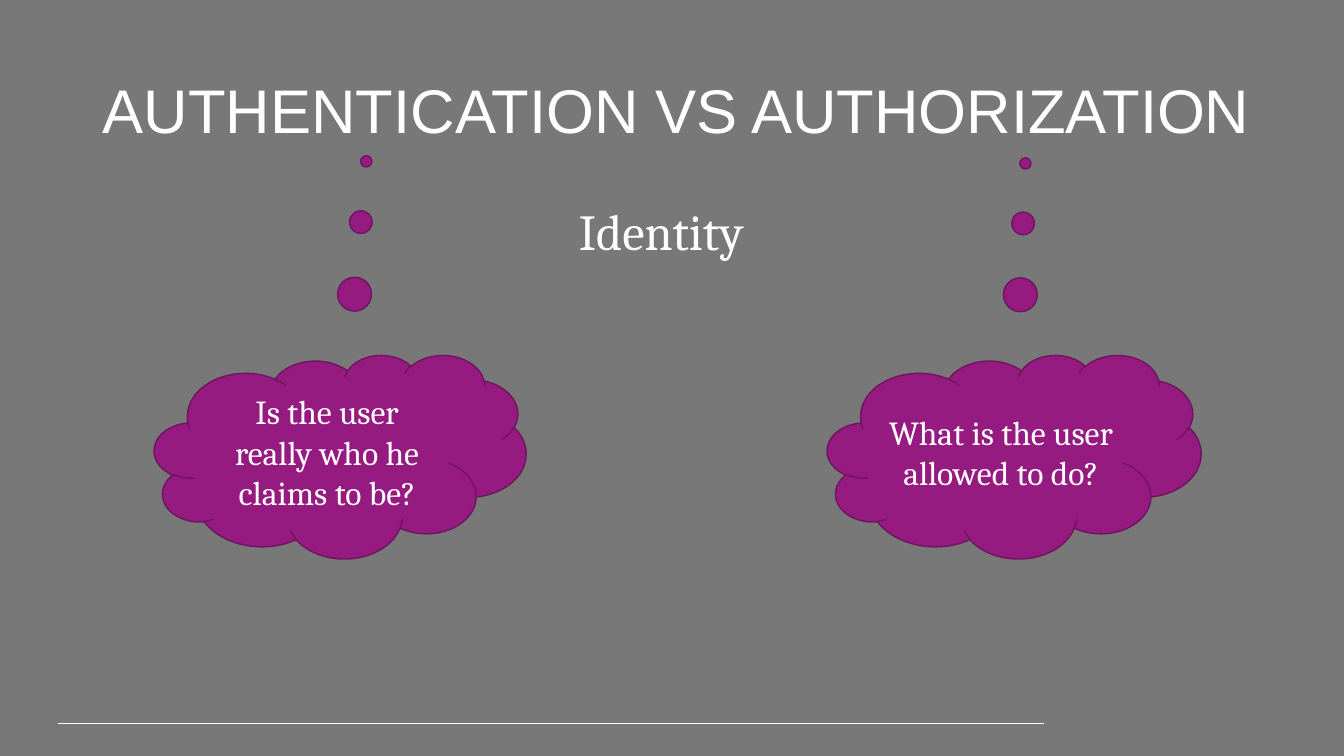
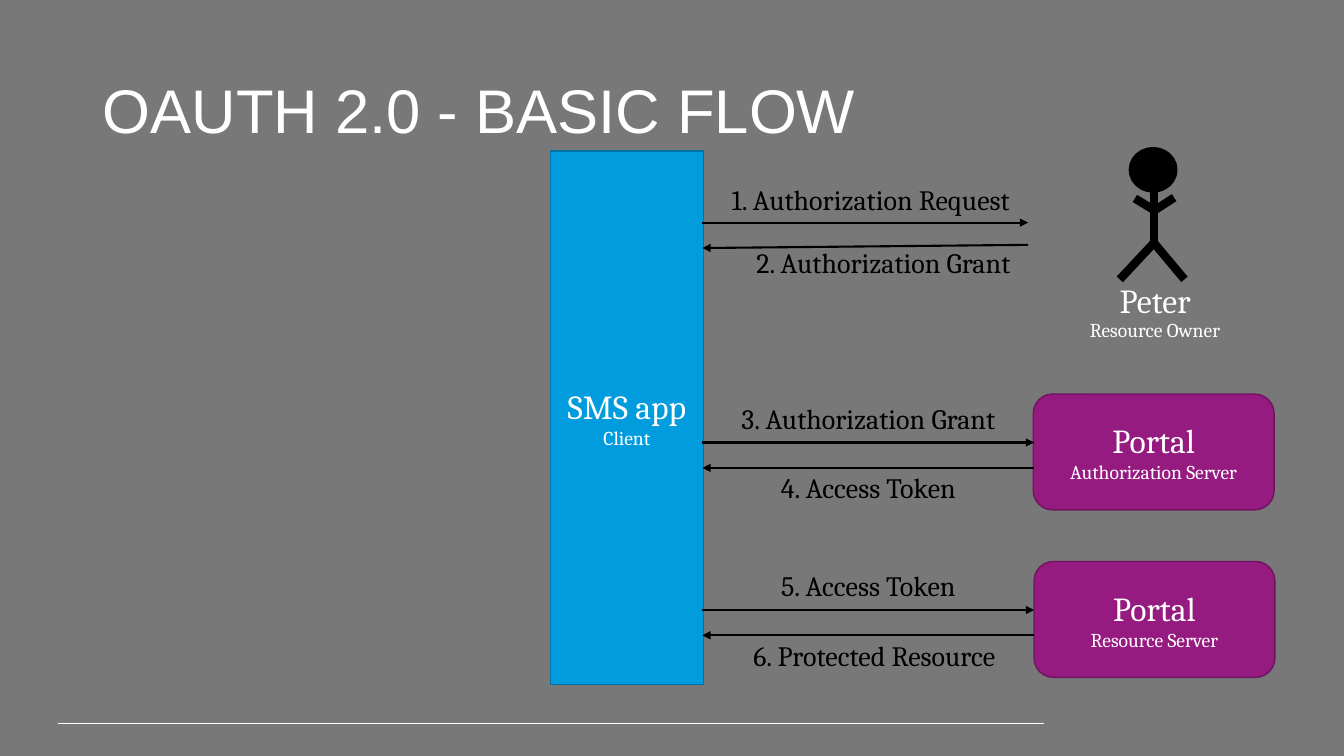
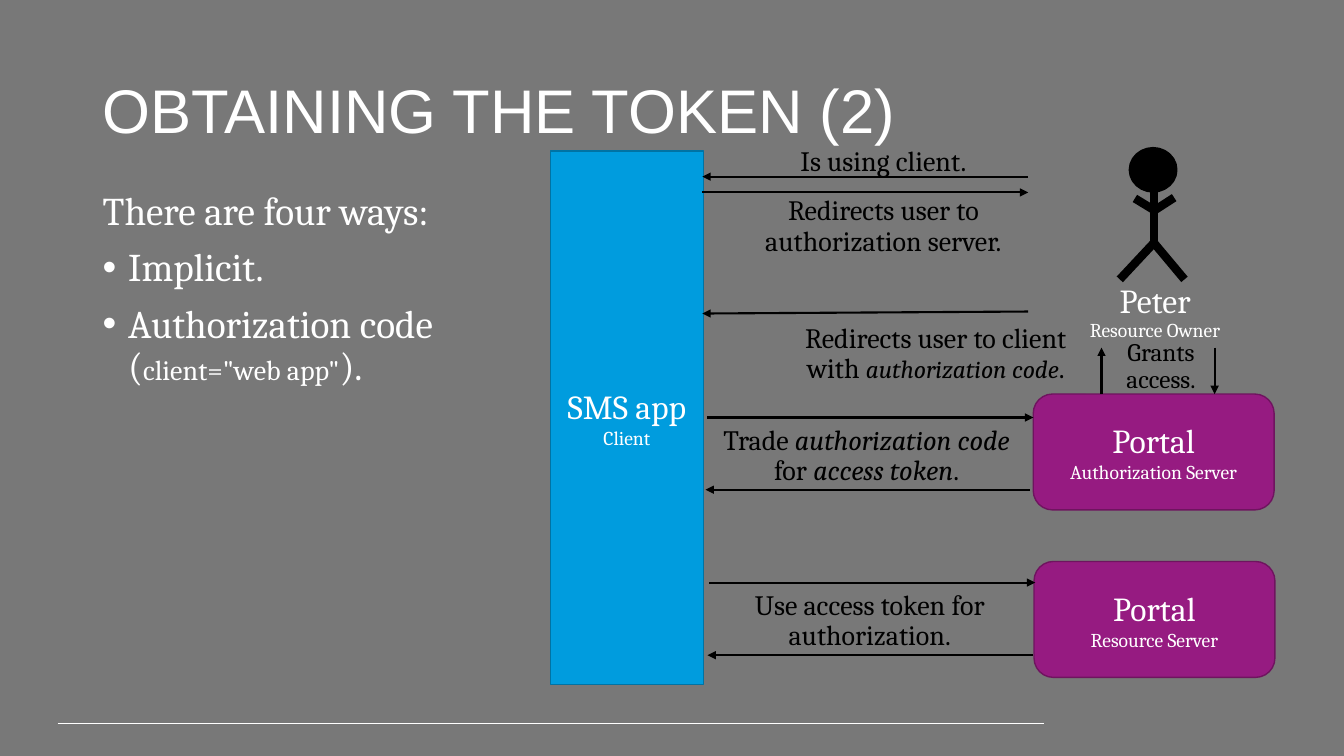
from dataclasses import dataclass
from typing import NamedTuple, Optional

from lxml import etree
from pptx import Presentation
from pptx.dml.color import RGBColor
from pptx.enum.shapes import MSO_CONNECTOR, MSO_SHAPE
from pptx.enum.text import MSO_ANCHOR, MSO_AUTO_SIZE, PP_ALIGN
from pptx.oxml.ns import qn
from pptx.util import Cm, Pt

STRAIGHT = MSO_CONNECTOR.STRAIGHT
CLOUD = MSO_SHAPE.CLOUD_CALLOUT
OVAL = MSO_SHAPE.OVAL
RECTANGLE = MSO_SHAPE.RECTANGLE
ROUNDED = MSO_SHAPE.ROUNDED_RECTANGLE
MIDDLE = MSO_ANCHOR.MIDDLE
TOP = MSO_ANCHOR.TOP
NO_FIT = MSO_AUTO_SIZE.NONE
GROW = MSO_AUTO_SIZE.SHAPE_TO_FIT_TEXT
LEFT = PP_ALIGN.LEFT
CENTER = PP_ALIGN.CENTER
TITLE_ONLY = 5

CLIENT_EDGE = 17.7
OWNER_EDGE = 25.91
SERVER_EDGE = 26.06
LABEL_WIDTH = 7.75
ONE_LINE = 1.02
TWO_LINES = 1.8


@dataclass(frozen=True)
class Theme:
    """Colours, fonts and type sizes of the deck."""
    background: str = "787878"
    white: str = "FFFFFF"
    black: str = "000000"
    purple: tuple = ("961B81", "6F145F")
    blue: tuple = ("009CDE", "0073A4")
    heading_font: str = "Arial"
    body_font: str = "Cambria"
    title: int = 44
    topic: int = 36
    body: int = 28
    name: int = 24
    label: int = 20
    small_label: int = 18
    role: int = 14


class Run(NamedTuple):
    """A piece of text that may differ from its paragraph."""
    text: str
    size: Optional[int] = None
    italic: bool = False


THEME = Theme()
BREAK = Run("\n")


def named(name, role):
    """Return the runs of a name with its smaller role below."""
    return [Run(name), BREAK, Run(role, THEME.role)]


class Deck:
    """Holds the theme and the current slide, and draws elements on it."""

    def __init__(self, theme):
        """Start an empty widescreen presentation."""
        self.theme = theme
        self.presentation = Presentation()
        self.presentation.slide_width = Cm(33.87)
        self.presentation.slide_height = Cm(19.05)
        fill = self.presentation.slide_master.background.fill
        fill.solid()
        fill.fore_color.rgb = RGBColor.from_string(theme.background)
        self.slide = None

    def new_slide(self, title, title_width=29.21):
        """Add a slide with its title and footer line."""
        layout = self.presentation.slide_layouts[TITLE_ONLY]
        self.slide = self.presentation.slides.add_slide(layout)
        self.line((1.45, 18.24), (26.31, 18.24), self.theme.white, 0.75)
        shape = self.slide.shapes.title
        shape.left, shape.top = Cm(2.34), Cm(1.02)
        shape.width, shape.height = Cm(title_width), Cm(3.68)
        self.frame(shape, MIDDLE, NO_FIT)
        self.fill_paragraph(shape.text_frame.paragraphs[0], title, self.theme.title,
                            align=LEFT, font=self.theme.heading_font, spacing=0.9)

    def frame(self, shape, anchor, fit):
        """Set wrapping, anchor and fit of a text frame."""
        shape.text_frame.word_wrap = True
        shape.text_frame.vertical_anchor = anchor
        shape.text_frame.auto_size = fit

    def fill_paragraph(self, paragraph, content, size, color=None, align=CENTER,
                       font=None, spacing=None):
        """Fill a paragraph with a string or a list of runs."""
        paragraph.alignment = align
        paragraph.line_spacing = spacing
        paragraph.font.name = font or self.theme.body_font
        paragraph.font.size = Pt(size)
        paragraph.font.color.rgb = RGBColor.from_string(color or self.theme.white)
        for part in [Run(content)] if isinstance(content, str) else content:
            if part == BREAK:
                paragraph.add_line_break()
                continue
            run = paragraph.add_run()
            run.text = part.text
            if part.size:
                run.font.size = Pt(part.size)
            if part.italic:
                run.font.italic = True

    def text(self, box, content, size, color=None):
        """Add a centred text box of one paragraph."""
        shape = self.slide.shapes.add_textbox(*map(Cm, box))
        self.frame(shape, TOP, GROW)
        self.fill_paragraph(shape.text_frame.paragraphs[0], content, size, color,
                            spacing=0.9)

    def label(self, left, top, content, width=LABEL_WIDTH, height=ONE_LINE, size=None):
        """Add a black label beside an arrow."""
        self.text((left, top, width, height), content,
                  size or self.theme.label, self.theme.black)

    def bullets(self, box, heading, items):
        """Add a heading line with bulleted items under it."""
        shape = self.slide.shapes.add_textbox(*map(Cm, box))
        self.frame(shape, TOP, GROW)
        self.fill_paragraph(shape.text_frame.paragraphs[0], heading, self.theme.body,
                            align=LEFT, spacing=0.9)
        for item in items:
            paragraph = shape.text_frame.add_paragraph()
            properties = paragraph._p.get_or_add_pPr()
            properties.set("marL", str(Cm(0.64)))
            properties.set("indent", str(Cm(-0.64)))
            etree.SubElement(properties, qn("a:buFont")).set("typeface", "Arial")
            etree.SubElement(properties, qn("a:buChar")).set("char", "•")
            paragraph.space_before = Pt(10)
            self.fill_paragraph(paragraph, item, self.theme.body, align=LEFT, spacing=0.9)

    def shape(self, kind, box, colors, content=None, line_width=1, shapes=None):
        """Add a filled shape, with centred text if any."""
        shapes = self.slide.shapes if shapes is None else shapes
        shape = shapes.add_shape(kind, *map(Cm, box))
        fill, line = map(RGBColor.from_string, colors)
        shape.shadow.inherit = False
        shape.fill.solid()
        shape.fill.fore_color.rgb = fill
        shape.line.color.rgb = line
        shape.line.width = Pt(line_width)
        if content:
            self.frame(shape, MIDDLE, NO_FIT)
            self.fill_paragraph(shape.text_frame.paragraphs[0], content, self.theme.name)
        return shape

    def cloud(self, box, pointer, content):
        """Add a thought cloud whose bubbles lead to the pointer."""
        shape = self.shape(CLOUD, box, self.theme.purple, content)
        for index, value in enumerate(pointer):
            shape.adjustments[index] = value

    def line(self, start, end, color, width, shapes=None):
        """Add a straight line without shadow."""
        shapes = self.slide.shapes if shapes is None else shapes
        connector = shapes.add_connector(STRAIGHT, *map(Cm, (*start, *end)))
        connector.line.color.rgb = RGBColor.from_string(color)
        connector.line.width = Pt(width)
        etree.SubElement(connector._element.spPr, qn("a:effectLst"))
        return connector

    def arrow(self, start, end):
        """Add a black line with a triangle at its end."""
        connector = self.line(start, end, self.theme.black, 1.5)
        outline = connector._element.spPr.find(qn("a:ln"))
        etree.SubElement(outline, qn("a:tailEnd")).set("type", "triangle")

    def person(self):
        """Add a grouped stick figure."""
        shapes = self.slide.shapes.add_group_shape().shapes
        black = self.theme.black
        self.shape(OVAL, (28.55, 3.81, 1.02, 0.94), (black, black),
                   line_width=6, shapes=shapes)
        neck, hip = (29.08, 4.75), (29.08, 6.12)
        limbs = [
            (neck, hip),
            (hip, (28.22, 7.04)),
            (hip, (29.85, 7.04)),
            ((29.08, 5.31), (29.59, 4.98)),
            ((28.6, 5.0), (29.06, 5.28)),
        ]
        for start, end in limbs:
            self.line(start, end, black, 6, shapes)

    def actors(self):
        """Add the owner, both servers and the client."""
        theme = self.theme
        self.person()
        self.text((25.63, 7.04, 6.96, 1.73), named("Peter", "Resource Owner"), theme.name)
        servers = [(26.06, 14.15, "Resource Server"), (26.04, 9.93, "Authorization Server")]
        for left, top, role in servers:
            self.shape(ROUNDED, (left, top, 6.07, 2.92), theme.purple, named("Portal", role))
        self.shape(RECTANGLE, (13.87, 3.81, 3.86, 13.44), theme.blue,
                   named("SMS app", "Client"))


def add_comparison(deck):
    """Build the slide that compares the two terms."""
    deck.new_slide("AUTHENTICATION VS AUTHORIZATION", 29.79)
    deck.text((2.34, 5.08, 28.65, 1.65), "Identity", deck.theme.topic)
    deck.cloud((3.89, 8.94, 9.37, 5.13), (0.07, -1.45),
               "Is the user really who he claims to be?")
    deck.cloud((20.85, 8.94, 9.42, 5.13), (0.03, -1.44),
               "What is the user allowed to do?")


def add_basic_flow(deck):
    """Build the slide with the six steps of the flow."""
    deck.new_slide("OAUTH 2.0 - BASIC FLOW")
    deck.actors()
    deck.arrow((CLIENT_EDGE, 5.61), (OWNER_EDGE, 5.61))
    deck.arrow((OWNER_EDGE, 6.17), (CLIENT_EDGE, 6.25))
    for top in (11.15, 15.37):
        deck.arrow((CLIENT_EDGE, top), (SERVER_EDGE, top))
        deck.arrow((SERVER_EDGE, top + 0.64), (CLIENT_EDGE, top + 0.64))
    deck.label(17.73, 4.57, "1. Authorization Request", width=8.43)
    steps = [
        (18.39, 6.17, "2. Authorization Grant"),
        (18.01, 10.08, "3. Authorization Grant"),
        (18.01, 11.84, "4. Access Token"),
        (18.01, 14.3, "5. Access Token"),
        (18.16, 16.05, "6. Protected Resource"),
    ]
    for step in steps:
        deck.label(*step)


def add_token_flow(deck):
    """Build the slide about the authorization code."""
    theme = deck.theme
    deck.new_slide("OBTAINING THE TOKEN (2)")
    deck.bullets((2.34, 4.7, 11.66, 5.28), "There are four ways:", [
        "Implicit.",
        [Run("Authorization code"), BREAK, Run("("),
         Run('client="web app"', theme.label), Run(").")],
    ])
    deck.actors()
    arrows = [
        ((OWNER_EDGE, 4.45), (CLIENT_EDGE, 4.45)),
        ((CLIENT_EDGE, 4.85), (OWNER_EDGE, 4.85)),
        ((OWNER_EDGE, 7.85), (CLIENT_EDGE, 7.9)),
        ((30.61, 8.76), (30.61, 9.93)),
        ((27.76, 9.93), (27.76, 8.76)),
        ((17.83, 10.52), (26.04, 10.52)),
        ((25.96, 12.34), (17.78, 12.34)),
        ((17.88, 14.68), (26.09, 14.68)),
        ((26.04, 16.51), (17.83, 16.51)),
    ]
    for start, end in arrows:
        deck.arrow(start, end)
    deck.label(18.39, 3.58, "Is using client.")
    deck.label(27.89, 8.43, "Grants access.", 2.74, 1.65, theme.small_label)
    redirect = [Run("Redirects user to client with "),
                Run("authorization code", theme.small_label, True), Run(".")]
    trade = [Run("Trade "), Run("authorization code", italic=True), Run(" for "),
             Run("access token", italic=True), Run(".")]
    labels = [
        (18.39, 4.83, "Redirects user to authorization server.", LABEL_WIDTH),
        (19.71, 8.05, redirect, LABEL_WIDTH),
        (17.88, 10.62, trade, 7.92),
        (17.96, 14.78, "Use access token for authorization.", 7.92),
    ]
    for label in labels:
        deck.label(*label, height=TWO_LINES)


def main():
    """Build and save the presentation."""
    deck = Deck(THEME)
    add_comparison(deck)
    add_basic_flow(deck)
    add_token_flow(deck)
    deck.presentation.save("out.pptx")


if __name__ == "__main__":
    main()
